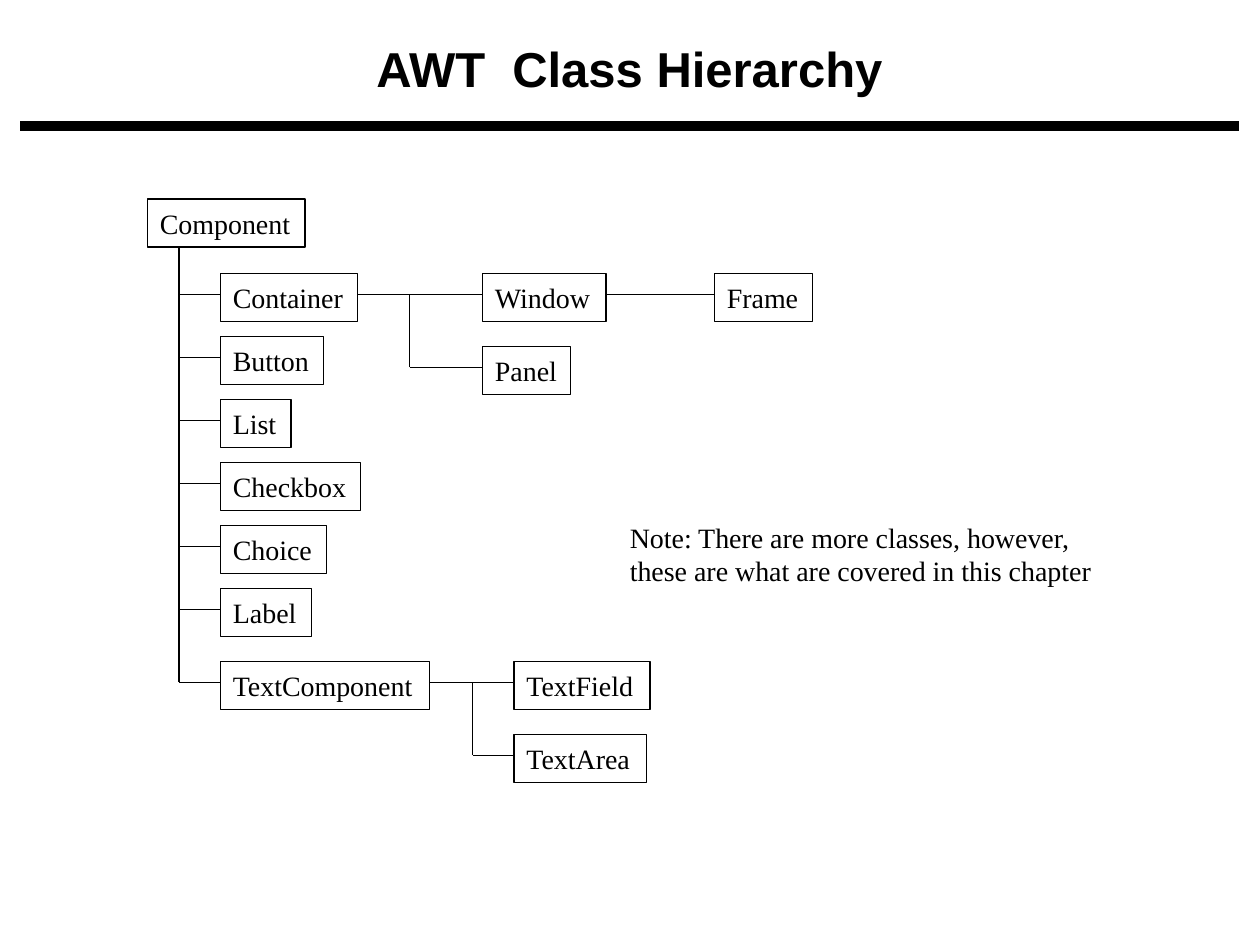
import pptx
import pptx.util
from pptx.dml.color import RGBColor
from pptx.enum.shapes import MSO_CONNECTOR, MSO_SHAPE
from pptx.enum.text import MSO_ANCHOR, PP_ALIGN
from pptx.oxml.ns import qn
from lxml import etree

Inches, Pt = pptx.util.Inches, pptx.util.Pt

TITLE = "AWT  Class Hierarchy"
NOTE = ["Note: There are more classes, however,",
        "these are what are covered in this chapter"]
BLACK, WHITE = "000000", "FFFFFF"
BOX_H = 0.38
JOIN = 0.165  # from a box's top to the line that meets it

# class: (left, top, width)
ROOT = "Component"
BOXES = {
    ROOT: (1.17, 1.58, 1.25),
    "Container": (1.75, 2.17, 1.09),
    "Button": (1.75, 2.67, 0.82),
    "List": (1.75, 3.17, 0.56),
    "Checkbox": (1.75, 3.67, 1.11),
    "Choice": (1.75, 4.17, 0.84),
    "Label": (1.75, 4.67, 0.72),
    "TextComponent": (1.75, 5.25, 1.66),
    "Window": (3.83, 2.17, 0.98),
    "Panel": (3.83, 2.75, 0.7),
    "Frame": (5.67, 2.17, 0.78),
    "TextField": (4.08, 5.25, 1.08),
    "TextArea": (4.08, 5.83, 1.05),
}
# parent: (x of the vertical trunk, children)
TREE = {
    ROOT: (1.42, ["Container", "Button", "List", "Checkbox", "Choice",
                  "Label", "TextComponent"]),
    "Container": (3.25, ["Window", "Panel"]),
    "Window": (5.25, ["Frame"]),
    "TextComponent": (3.75, ["TextField", "TextArea"]),
}


def color(value):
    return RGBColor.from_string(value)


def add_line(s, x1, y1, x2, y2, width=0.75):
    c = s.shapes.add_connector(MSO_CONNECTOR.STRAIGHT, Inches(x1), Inches(y1),
                               Inches(x2), Inches(y2))
    c.line.color.rgb = color(BLACK)
    c.line.width = Pt(width)
    etree.SubElement(c._element.spPr, qn("a:effectLst"))


def write(tf, lines, size, font, align=PP_ALIGN.LEFT, bold=False):
    for i, line in enumerate(lines):
        p = tf.paragraphs[0] if i == 0 else tf.add_paragraph()
        p.alignment = align
        r = p.add_run()
        r.text = line
        r.font.size, r.font.name, r.font.bold = Pt(size), font, bold
        r.font.color.rgb = color(BLACK)


def add_box(s, name):
    left, top, width = BOXES[name]
    sp = s.shapes.add_shape(MSO_SHAPE.RECTANGLE, Inches(left), Inches(top),
                            Inches(width), Inches(BOX_H))
    sp.shadow.inherit = False
    sp.fill.solid()
    sp.fill.fore_color.rgb = color(WHITE)
    sp.line.color.rgb = color(BLACK)
    sp.line.width = Pt(0.75)
    tf = sp.text_frame
    tf.word_wrap = False
    tf.vertical_anchor = MSO_ANCHOR.MIDDLE
    write(tf, [name], 16, "Times New Roman")


def add_branches(s, parent):
    """Draw the trunk below a parent and one line to each child."""
    trunk, children = TREE[parent]
    left, top, width = BOXES[parent]
    joins = [BOXES[child][1] + JOIN for child in children]
    if parent == ROOT:
        start = top + BOX_H
    else:
        start = top + JOIN
        add_line(s, left + width, start, trunk, start)
    if joins[-1] > start:
        add_line(s, trunk, start, trunk, joins[-1])
    for child, y in zip(children, joins):
        add_line(s, trunk, y, BOXES[child][0], y)


prs = pptx.Presentation()
prs.slide_width, prs.slide_height = Inches(10), Inches(7.5)
s = prs.slides.add_slide(prs.slide_layouts[5])

title = s.shapes.title
title.left, title.top = Inches(0.83), Inches(0.25)
title.width, title.height = Inches(8.33), Inches(0.57)
title.text_frame.vertical_anchor = MSO_ANCHOR.BOTTOM
write(title.text_frame, [TITLE], 28, "Arial", PP_ALIGN.CENTER, True)
add_line(s, 0.16, 1, 9.83, 1, 6)

for parent in TREE:
    add_branches(s, parent)
for name in BOXES:
    add_box(s, name)

note = s.shapes.add_textbox(Inches(4.9), Inches(4.08), Inches(3.92), Inches(0.63))
note.text_frame.word_wrap = False
note.text_frame.vertical_anchor = MSO_ANCHOR.MIDDLE
write(note.text_frame, NOTE, 16, "Times New Roman")

prs.save("out.pptx")
